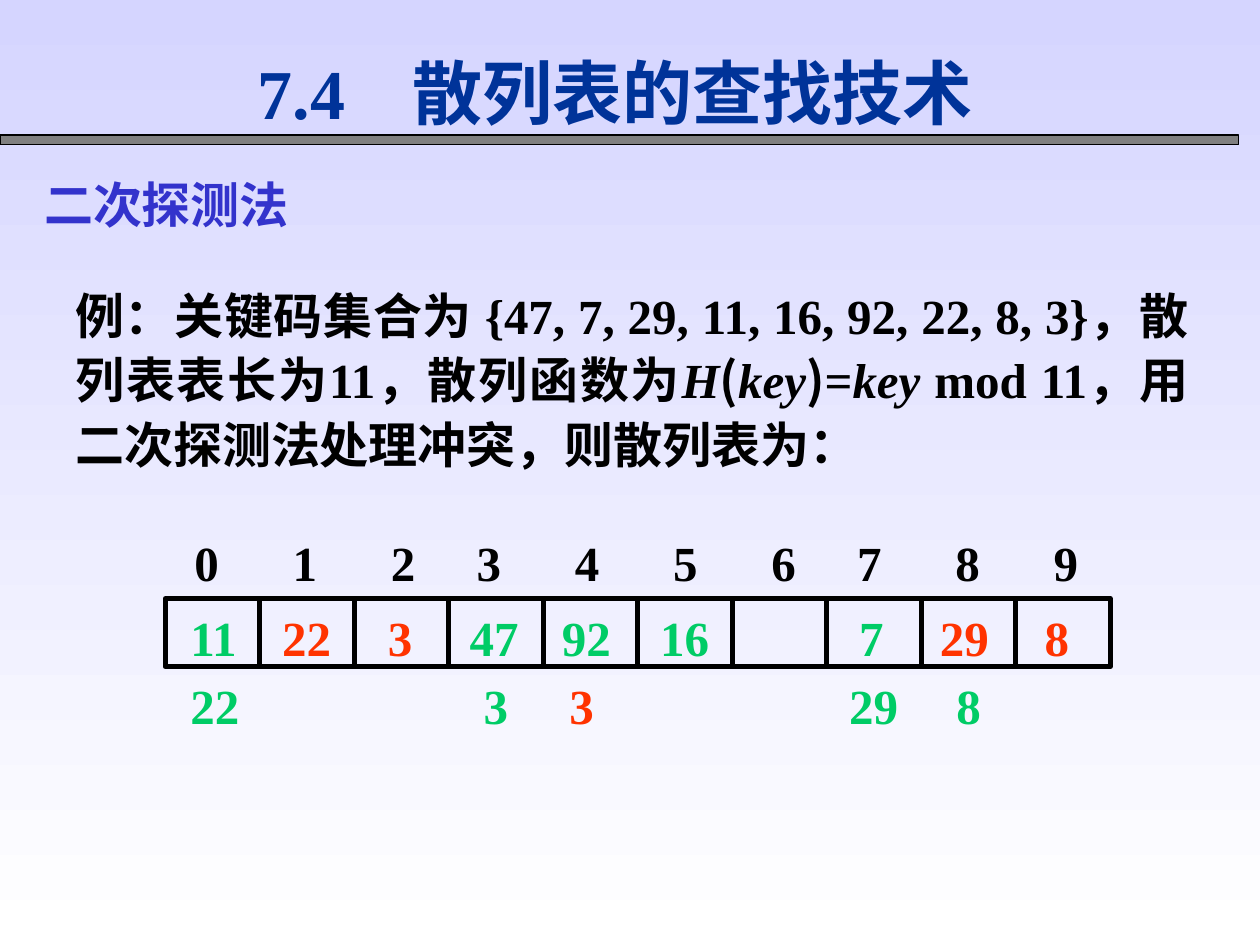
"""Build the slide on quadratic probing in a hash table."""
from itertools import accumulate

from lxml import etree
from pptx import Presentation
from pptx.dml.color import RGBColor
from pptx.enum.shapes import MSO_SHAPE
from pptx.enum.text import MSO_ANCHOR, PP_ALIGN
from pptx.oxml.ns import qn
from pptx.util import Cm, Pt

BLACK = RGBColor(0x00, 0x00, 0x00)
GRAY = RGBColor(0x80, 0x80, 0x80)
NAVY = RGBColor(0x00, 0x33, 0x99)
BLUE = RGBColor(0x33, 0x33, 0xCC)
GREEN = RGBColor(0x00, 0xCC, 0x66)
RED = RGBColor(0xFF, 0x33, 0x00)
LAVENDER = RGBColor(0xD5, 0xD5, 0xFF)
WHITE = RGBColor(0xFF, 0xFF, 0xFF)
SERIF = "Times New Roman"
SANS = "Noto Sans CJK SC"


def add_text(shapes, runs, x, y, w, h, size=28, color=BLACK, inset=(0, 0.1, 0, 0),
             anchor=MSO_ANCHOR.TOP, align=PP_ALIGN.LEFT, spacing=None, tabs=()):
    tf = shapes.add_textbox(Cm(x), Cm(y), Cm(w), Cm(h)).text_frame
    tf.word_wrap = True
    tf.vertical_anchor = anchor
    tf.margin_left, tf.margin_top, tf.margin_right, tf.margin_bottom = map(Cm, inset)
    p = tf.paragraphs[0]
    p.alignment = align
    if spacing:
        p.line_spacing = Pt(spacing)
    if tabs:
        tab_list = etree.SubElement(p._p.get_or_add_pPr(), qn("a:tabLst"))
        for pos in tabs:
            etree.SubElement(tab_list, qn("a:tab"), pos=str(Cm(pos)), algn="l")
    for text, font, italic in [(runs, SERIF, False)] if isinstance(runs, str) else runs:
        r = p.add_run()
        r.text = text
        r.font.name, r.font.size = font, Pt(size)
        r.font.bold, r.font.italic = True, italic
        r.font.color.rgb = color
        etree.SubElement(r.font._element, qn("a:ea"), typeface=SANS)


def add_box(shapes, x, y, w, h, line, fill=None):
    sp = shapes.add_shape(MSO_SHAPE.RECTANGLE, Cm(x), Cm(y), Cm(w), Cm(h))
    sp.shadow.inherit = False
    sp.line.color.rgb = BLACK
    sp.line.width = Pt(line)
    if fill is None:
        sp.fill.background()
    else:
        sp.fill.solid()
        sp.fill.fore_color.rgb = fill


prs = Presentation()
prs.slide_width, prs.slide_height = Cm(25.4), Cm(19.05)
s = prs.slides.add_slide(prs.slide_layouts[6])

bg = s.background.fill
bg.gradient()
bg.gradient_angle = 270
for stop, color, pos in zip(bg.gradient_stops, (LAVENDER, WHITE), (0, 1)):
    stop.color.rgb = color
    stop.position = pos

add_box(s.shapes, 0, 2.72, 24.97, 0.2, 0.75, GRAY)

table = s.shapes.add_group_shape().shapes
cell_w = 19.05 / 10
for i in range(10):
    add_box(table, 3.33 + i * cell_w, 12.07, cell_w, 1.37, 3)

index_tabs = accumulate([1.98, 1.98, 1.73, 1.98, 1.98, 1.98, 1.73, 1.98, 1.98])
add_text(table, "\t".join(map(str, range(10))), 3.18, 10.64, 19.05, 1.19,
         inset=(0.74, 0.1, 0.25, 0), tabs=list(index_tabs))

keys = {
    12.15: [("11", 3.84, GREEN), ("22", 5.69, RED), ("3", 7.82, RED),
            ("47", 9.47, GREEN), ("92", 11.33, GREEN), ("16", 13.31, GREEN),
            ("7", 17.32, GREEN), ("29", 18.95, RED), ("8", 21.06, RED)],
    13.52: [("22", 3.84, GREEN), ("3", 9.75, GREEN), ("3", 11.48, RED),
            ("29", 17.12, GREEN), ("8", 19.28, GREEN)],
}
for y, row in keys.items():
    for key, x, color in row:
        add_text(s.shapes, key, x, y, 0.64 * len(key), 1.19, color=color)

example = [
    ("例：关键码集合为 {47, 7, 29, 11, 16, 92, 22, 8, 3}，散列表表长为11，散列函", SERIF, False),
    ("数为", SANS, False),
    ("H", SERIF, True),
    ("(", SANS, False),
    ("key", SERIF, True),
    (")", SANS, False),
    ("=", SERIF, False),
    ("key", SERIF, True),
    (" mod 11", SERIF, False),
    ("，用二次探测法处理冲突，则散列表为：", SANS, False),
]
add_text(s.shapes, example, 1.27, 5.41, 22.94, 4.17, inset=(0.25, 0.25, 0.25, 0),
         align=PP_ALIGN.JUSTIFY, spacing=36.6)
add_text(s.shapes, "二次探测法", 0.64, 3.38, 14.81, 1.45, color=BLUE,
         inset=(0.25, 0, 0.25, 0), anchor=MSO_ANCHOR.MIDDLE)
add_text(s.shapes, "7.4\t散列表的查找技术", 4.95, 0.89, 15.27, 1.91, size=40, color=NAVY,
         inset=(0.25, 0.13, 0.25, 0.13), anchor=MSO_ANCHOR.MIDDLE, tabs=[3.12])

prs.save("out.pptx")
